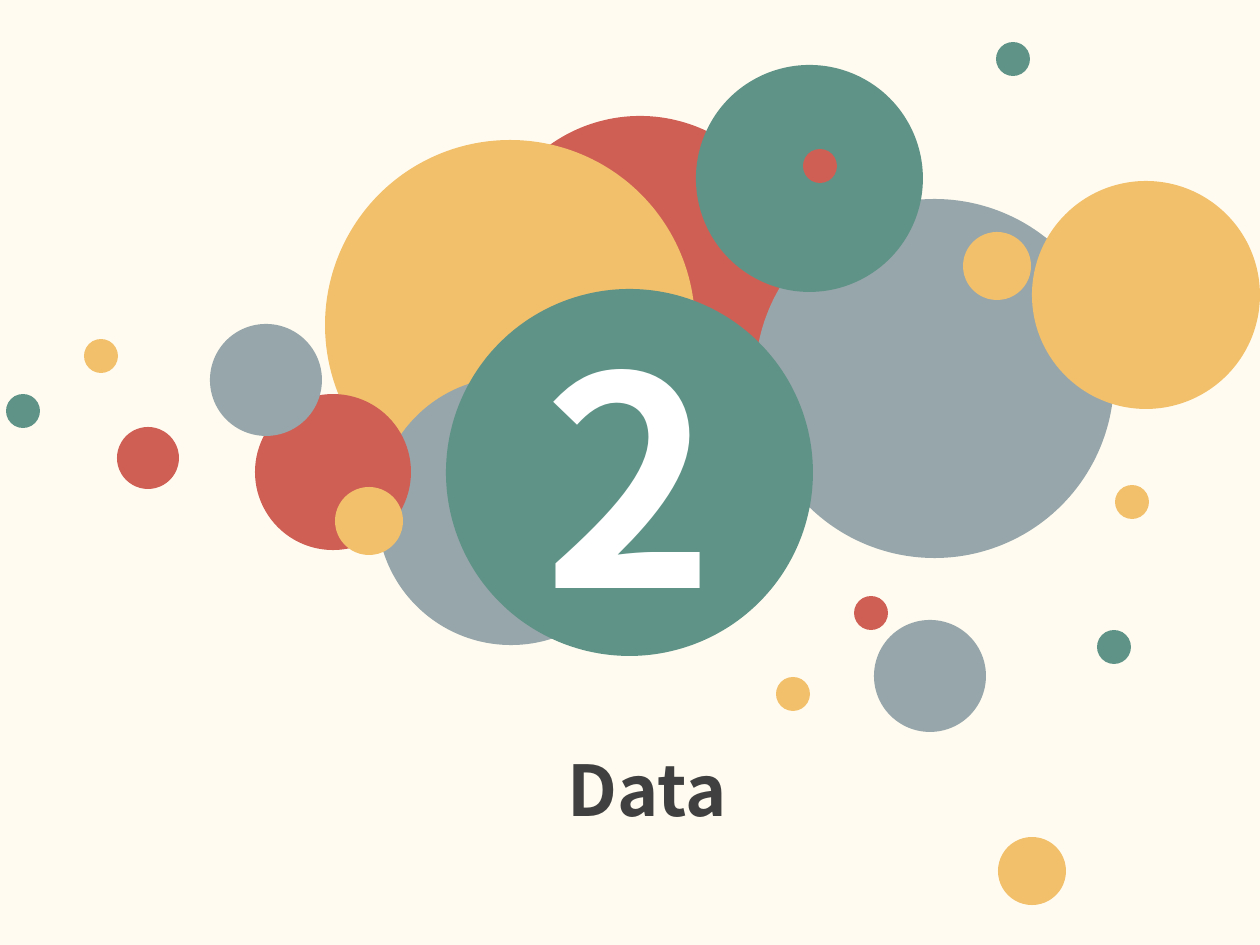
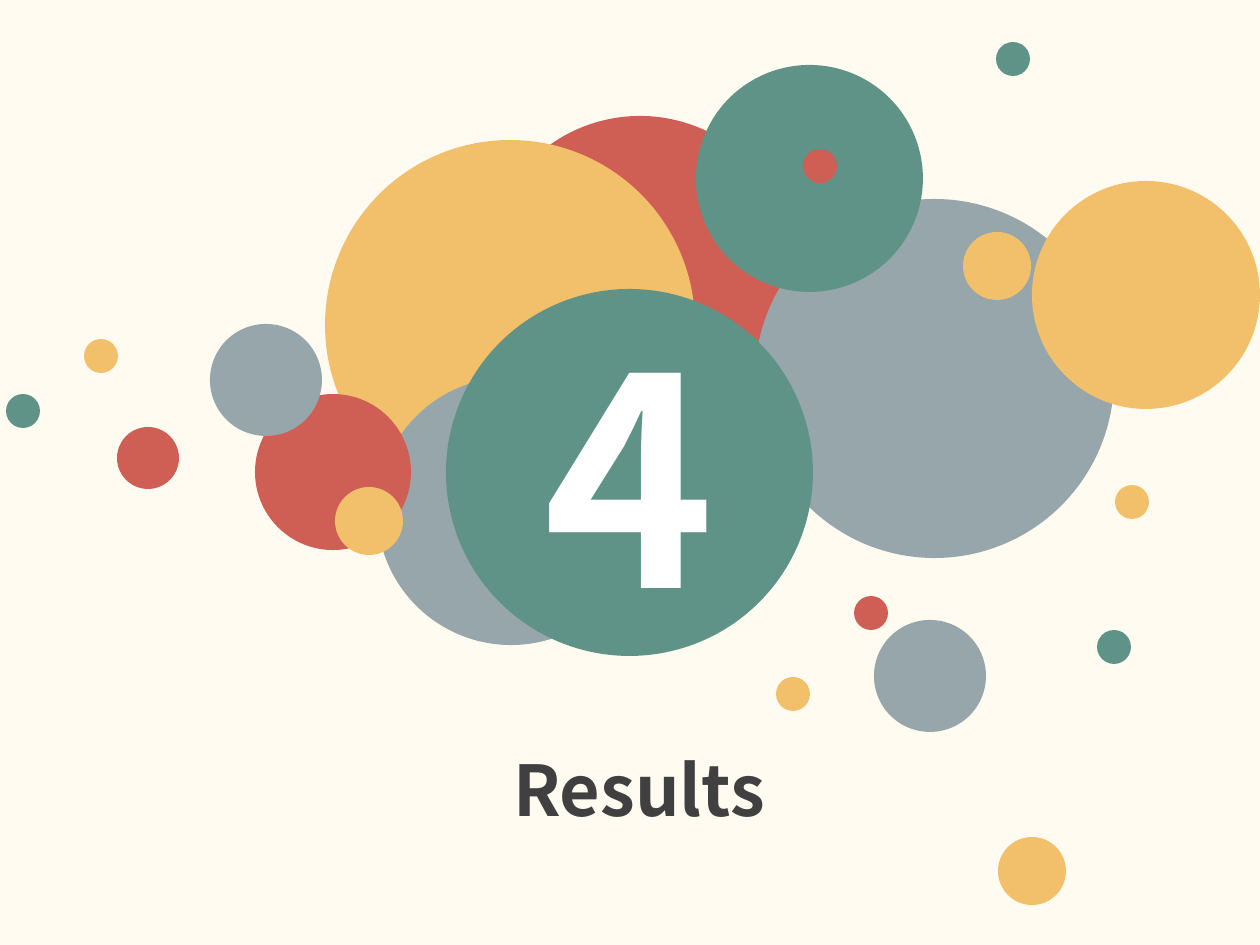
from pptx import Presentation
from pptx.dml.color import RGBColor
from pptx.enum.shapes import MSO_SHAPE
from pptx.enum.text import MSO_ANCHOR, MSO_AUTO_SIZE, PP_ALIGN
from pptx.util import Pt

PX = 914400 / 126
FONT = "Noto Sans CJK SC"
HUES = {
    "cream": "FFFBF0", "red": "CF5F55", "gold": "F2C06B", "grey": "97A6AB",
    "green": "5F9387", "white": "FFFFFF", "dark": "404040",
}
PAGE = (0, 0, 1260, 945)
BADGE = (446, 289, 367)
TITLE = (267, 740, 760, 97)
DOTS = [
    ("red", 485, 116, 310), ("gold", 325, 140, 370),
    ("grey", 377, 377, 268), ("grey", 755, 199, 359),
    ("green", 696, 65, 227), ("red", 255, 394, 156),
    ("grey", 874, 620, 112), ("red", 854, 596, 34),
    ("gold", 776, 677, 34), ("green", 1097, 630, 34),
    ("gold", 998, 837, 68), ("gold", 1032, 181, 228),
    ("grey", 210, 324, 112), ("red", 117, 427, 62),
    ("gold", 84, 339, 34), ("green", 6, 394, 34),
    ("gold", 335, 487, 68), ("red", 803, 149, 34),
    ("gold", 1115, 485, 34), ("green", 996, 42, 34),
    ("gold", 963, 232, 68),
]
PARTS = [("2", "Data"), ("4", "Results ")]


def emu(*sizes):
    """Turn px lengths into EMU."""
    return [round(size * PX) for size in sizes]


def color(name):
    """Return the named colour."""
    return RGBColor.from_string(HUES[name])


def write(shape, text, size, hue, anchor):
    """Put one bold centred line into a shape."""
    frame = shape.text_frame
    frame.word_wrap = True
    frame.vertical_anchor = anchor
    frame.text = text
    line = frame.paragraphs[0]
    line.alignment = PP_ALIGN.CENTER
    line.font.name, line.font.size, line.font.bold = FONT, Pt(size), True
    line.font.color.rgb = color(hue)


def add_dot(slide, hue, left, top, size):
    """Draw one flat circle."""
    dot = slide.shapes.add_shape(
        MSO_SHAPE.OVAL, *emu(left, top, size, size))
    dot.shadow.inherit = False
    dot.fill.solid()
    dot.fill.fore_color.rgb = color(hue)
    dot.line.fill.background()
    return dot


def add_cloud(slide, box, number):
    """Draw the cloud of circles and its numbered badge."""
    left, top = box[:2]
    for hue, x, y, size in DOTS:
        add_dot(slide, hue, left + x, top + y, size)
    x, y, size = BADGE
    badge = add_dot(slide, "green", left + x, top + y, size)
    write(badge, number, 166, "white", MSO_ANCHOR.MIDDLE)


def set_title(slide, box, text):
    """Move and format the title below the cloud."""
    left, top = box[:2]
    x, y, width, height = TITLE
    title = slide.shapes.title
    title.left, title.top, title.width, title.height = emu(
        left + x, top + y, width, height)
    write(title, text, 40, "dark", MSO_ANCHOR.TOP)
    title.text_frame.auto_size = MSO_AUTO_SIZE.SHAPE_TO_FIT_TEXT


def add_part(deck, box, number, text):
    """Add one section slide."""
    slide = deck.slides.add_slide(deck.slide_layouts[5])
    fill = slide.background.fill
    fill.solid()
    fill.fore_color.rgb = color("cream")
    add_cloud(slide, box, number)
    set_title(slide, box, text)


def main():
    """Build and save the section slides."""
    deck = Presentation()
    deck.slide_width, deck.slide_height = emu(*PAGE[2:])
    for number, text in PARTS:
        add_part(deck, PAGE, number, text)
    deck.save("out.pptx")


if __name__ == "__main__":
    main()
